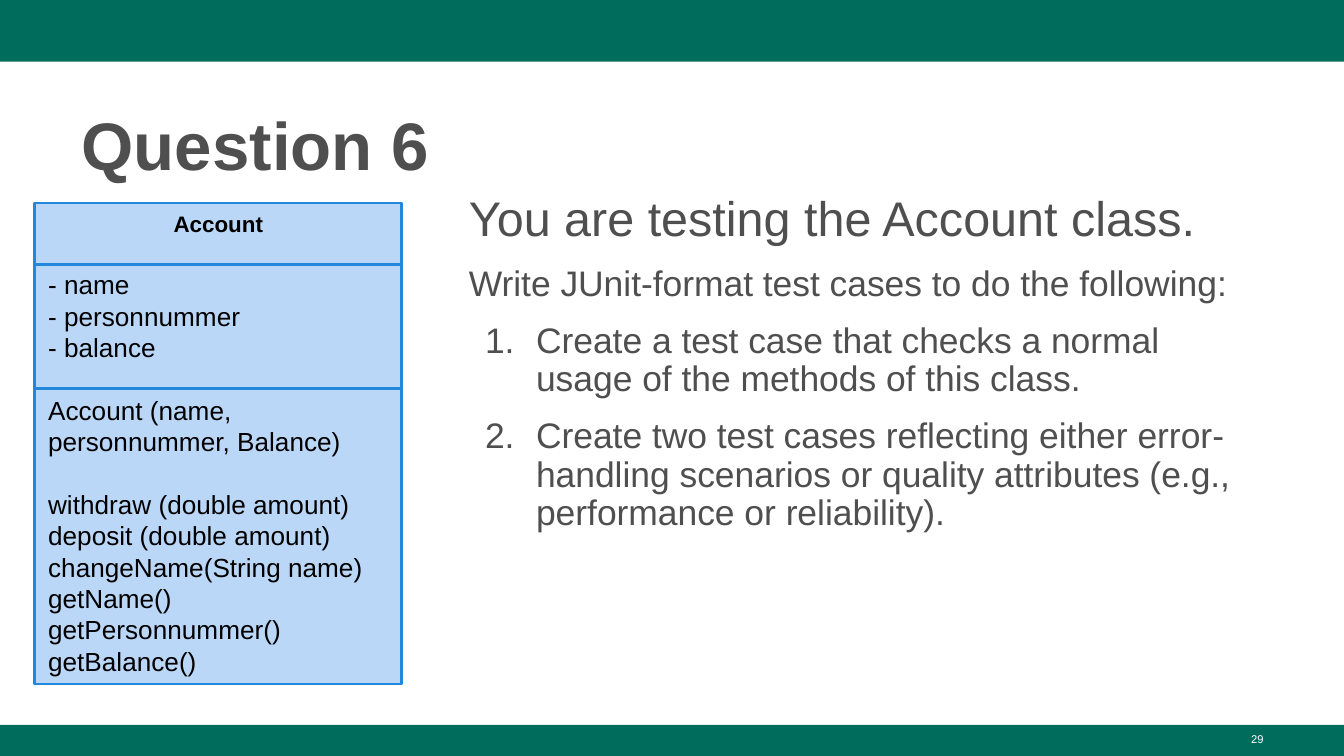
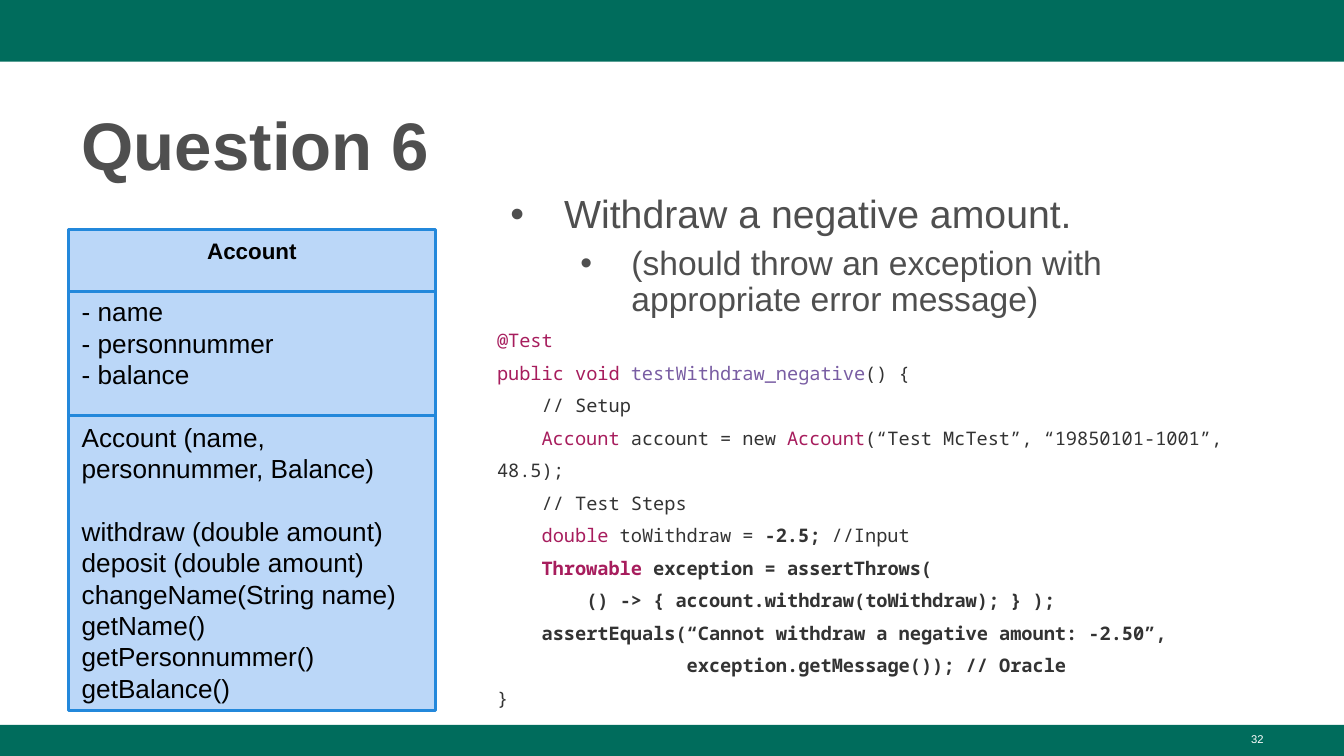
from lxml import etree
from pptx import Presentation
from pptx import util as u
from pptx.dml.color import RGBColor
from pptx.enum import shapes, text
from pptx.oxml import ns

GREEN = RGBColor(0x00, 0x6C, 0x5C)
GREY = RGBColor(0x4F, 0x4F, 0x4F)
WHITE = RGBColor(0xFF, 0xFF, 0xFF)
BLACK = RGBColor(0x00, 0x00, 0x00)
BOX_FILL = RGBColor(0xBB, 0xD7, 0xF8)
BOX_LINE = RGBColor(0x23, 0x88, 0xDB)
CODE_TEXT = RGBColor(0x33, 0x33, 0x33)
CODE_KEYWORD = RGBColor(0xA7, 0x1D, 0x5D)
CODE_NAME = RGBColor(0x79, 0x5D, 0xA3)

WIDTH = 10
HEIGHT = WIDTH * 9 / 16
BOTTOM_BAND = 0.23
TITLE_LEFT, RIGHT_EDGE = 0.51, 9.5
CLASS_GAP = 16.8  # points, one line of class text

CLASS_GROUPS = [
    ["- name", "- personnummer", "- balance"],
    ["Account (name, personnummer, Balance)"],
    ["withdraw (double amount)", "deposit (double amount)",
     "changeName(String name)", "getName()", "getPersonnummer()",
     "getBalance()"],
]


def font(size, color=GREY, bold=False, name="Arial"):
    return {"size": u.Pt(size), "bold": bold, "name": name, "color": color}


def code(color=CODE_TEXT, bold=False):
    return font(10, color, bold, "Noto Sans Mono")


PLAIN, BOLD = code(), code(bold=True)
KEYWORD, BOLD_KEYWORD = code(CODE_KEYWORD), code(CODE_KEYWORD, True)
NAME = code(CODE_NAME)

CODE_PARAGRAPHS = [
    [("@Test\npublic void ", KEYWORD), ("testWithdraw_negative", NAME),
     ("() {", PLAIN)],
    [("    // Setup\n    ", PLAIN), ("Account", KEYWORD),
     (" account = new ", PLAIN), ("Account", KEYWORD),
     ("(“Test McTest”, “19850101-1001”, 48.5);", PLAIN)],
    [("    // Test Steps", PLAIN)],
    [("    double", KEYWORD), (" toWithdraw = ", PLAIN), ("-2.5;", BOLD),
     (" //Input", PLAIN)],
    [("    ", BOLD), ("Throwable", BOLD_KEYWORD),
     (" exception = assertThrows(", BOLD)],
    [("        () -> { account.withdraw(toWithdraw); } );\n"
      "    assertEquals(“Cannot withdraw a negative amount: -2.50”,", BOLD)],
    [("                 exception.getMessage()); // Oracle\n", BOLD),
     ("}", PLAIN)],
]


class Deck:
    """Holds the shared style and the slide being built."""

    def __init__(self):
        self.presentation = Presentation()
        self.presentation.slide_width = u.Inches(WIDTH)
        self.presentation.slide_height = u.Inches(HEIGHT)
        self.slide = None

    def add_slide(self, title, number):
        layout = self.presentation.slide_layouts[6]
        self.slide = self.presentation.slides.add_slide(layout)
        self.rectangle(0, 0, WIDTH, 0.46, GREEN)
        self.rectangle(0, HEIGHT - BOTTOM_BAND, WIDTH, BOTTOM_BAND, GREEN)
        frame = self.text_box(TITLE_LEFT, 0.67, 8.99, 0.73)
        self.paragraph(frame, [(title, font(36, bold=True))], line_spacing=1.08)
        frame = self.text_box(7.17, 5.4, 2.33, 0.23)
        self.paragraph(frame, [(number, font(6, WHITE))],
                       alignment=text.PP_ALIGN.RIGHT)

    def rectangle(self, left, top, width, height, fill, line=None):
        shape = self.slide.shapes.add_shape(
            shapes.MSO_SHAPE.RECTANGLE,
            *map(u.Inches, (left, top, width, height)))
        shape.shadow.inherit = False
        shape.fill.solid()
        shape.fill.fore_color.rgb = fill
        if line is None:
            shape.line.fill.background()
        else:
            shape.line.color.rgb = line
            shape.line.width = u.Pt(1.5)
        return shape

    def text_box(self, left, top, width, height):
        box = self.slide.shapes.add_textbox(
            *map(u.Inches, (left, top, width, height)))
        return self.frame(box, 0.05, text.MSO_ANCHOR.TOP)

    def frame(self, shape, vertical_margin, anchor):
        settings = {
            "word_wrap": True, "vertical_anchor": anchor,
            "margin_left": u.Inches(0.1), "margin_right": u.Inches(0.1),
            "margin_top": u.Inches(vertical_margin),
            "margin_bottom": u.Inches(vertical_margin),
        }
        for key, value in settings.items():
            setattr(shape.text_frame, key, value)
        return shape.text_frame

    def paragraph(self, frame, runs, bullet=None, indent=(0, 0), **settings):
        """Fill the empty first paragraph, or append one; runs are (text, font)."""
        paragraph = frame.paragraphs[0]
        if paragraph.runs:
            paragraph = frame.add_paragraph()
        if bullet:
            self.bullet(paragraph, bullet, indent)
        for key, value in settings.items():
            setattr(paragraph, key, value)
        for content, style in runs:
            for index, line in enumerate(content.split("\n")):
                if index:
                    paragraph.add_line_break()
                if line:
                    self.run(paragraph, line, style)

    def run(self, paragraph, content, style):
        run = paragraph.add_run()
        run.text = content
        for key, value in style.items():
            if key == "color":
                run.font.color.rgb = value
            else:
                setattr(run.font, key, value)

    def bullet(self, paragraph, bullet, indent):
        properties = paragraph._p.get_or_add_pPr()
        for key, value in zip(("marL", "indent"), indent):
            properties.set(key, str(int(u.Inches(value))))
        color = etree.SubElement(properties, ns.qn("a:buClr"))
        etree.SubElement(color, ns.qn("a:srgbClr"), val=str(GREY))
        etree.SubElement(properties, ns.qn("a:buFont"), typeface="Arial")
        if bullet == "1.":
            etree.SubElement(properties, ns.qn("a:buAutoNum"), type="arabicPeriod")
        else:
            etree.SubElement(properties, ns.qn("a:buChar"), char=bullet)

    def divider(self, left, right, y):
        line = self.slide.shapes.add_connector(
            shapes.MSO_CONNECTOR.STRAIGHT,
            *map(u.Inches, (left, y, right, y)))
        line.line.color.rgb = BOX_LINE
        line.line.width = u.Pt(1.5)
        etree.SubElement(line._element.spPr, ns.qn("a:effectLst"))

    def account_class(self, left, top):
        """Class diagram box: name, attributes and methods."""
        width = 2.73
        box = self.rectangle(left, top, width, 3.58, BOX_FILL, BOX_LINE)
        frame = self.frame(box, 0.1, text.MSO_ANCHOR.MIDDLE)
        self.paragraph(frame, [("Account", font(12, BLACK, True))],
                       alignment=text.PP_ALIGN.CENTER)
        for group in CLASS_GROUPS:
            for index, member in enumerate(group):
                self.paragraph(frame, [(member, font(14, BLACK))],
                               alignment=text.PP_ALIGN.LEFT,
                               space_before=u.Pt(0 if index else CLASS_GAP))
        for offset in (0.46, 1.38):
            self.divider(left, left + width, top + offset)

    def body(self, left):
        return self.text_box(left, 1.4, RIGHT_EDGE - left, 3.81)


def add_task_slide(deck):
    deck.add_slide("Question 6", "29")
    frame = deck.body(3.39)
    spaced = {"line_spacing": 0.9, "space_before": u.Pt(10)}
    deck.paragraph(frame, [("You are testing the Account class.", font(26))],
                   line_spacing=0.9)
    deck.paragraph(
        frame, [("Write JUnit-format test cases to do the following:", font(19))],
        **spaced)
    for task in (
        "Create a test case that checks a normal usage of the methods of this class.",
        "Create two test cases reflecting either error-handling scenarios or "
        "quality attributes (e.g., performance or reliability).",
    ):
        deck.paragraph(frame, [(task, font(19))], "1.", (0.5, -0.38), **spaced)
    deck.account_class(0.26, 1.51)


def add_answer_slide(deck):
    deck.add_slide("Question 6", "32")
    frame = deck.body(3.6)
    deck.paragraph(frame, [("Withdraw a negative amount.", font(21))],
                   "•", (0.5, -0.4), line_spacing=0.9)
    deck.paragraph(
        frame,
        [("(should throw an exception with appropriate error message)", font(18))],
        "•", (1, -0.38), level=1, line_spacing=0.9, space_before=u.Pt(5))
    for runs in CODE_PARAGRAPHS:
        deck.paragraph(frame, runs, line_spacing=1.45)
    deck.account_class(TITLE_LEFT, 1.71)


def main():
    deck = Deck()
    add_task_slide(deck)
    add_answer_slide(deck)
    deck.presentation.save("out.pptx")


if __name__ == "__main__":
    main()
